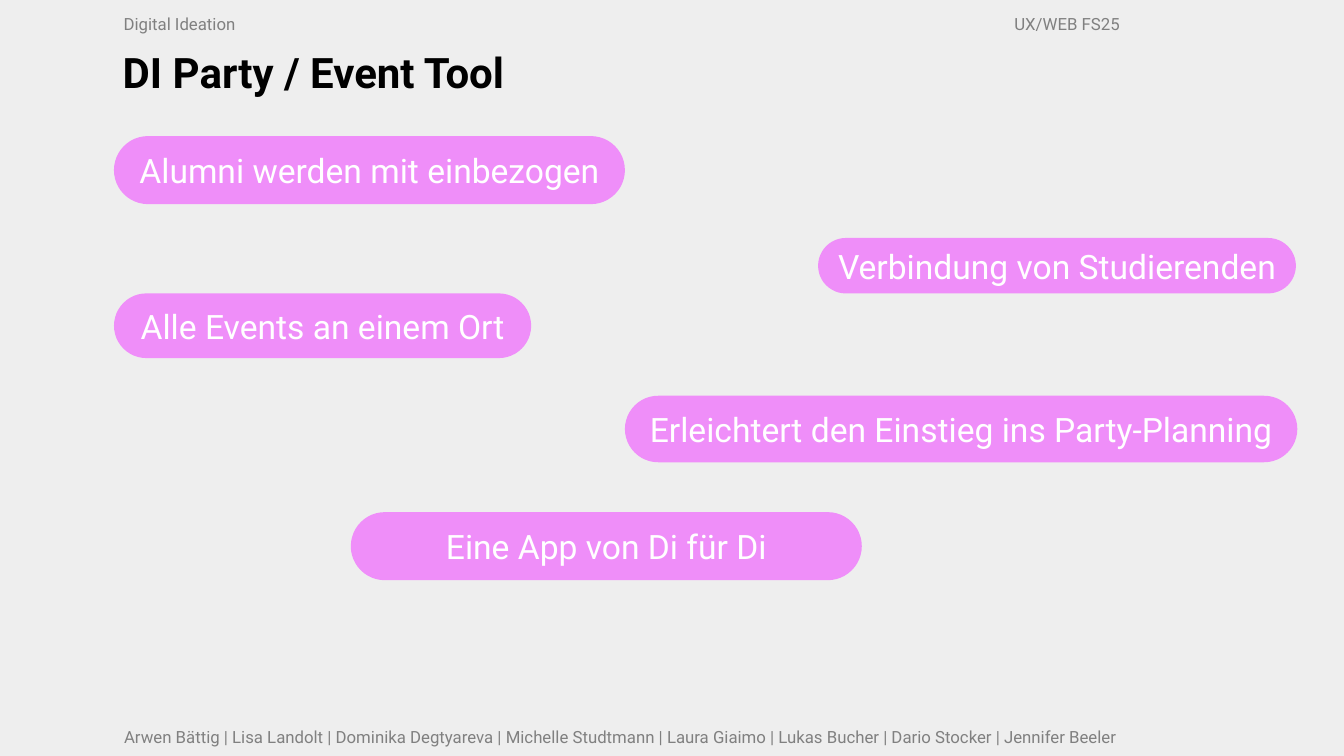
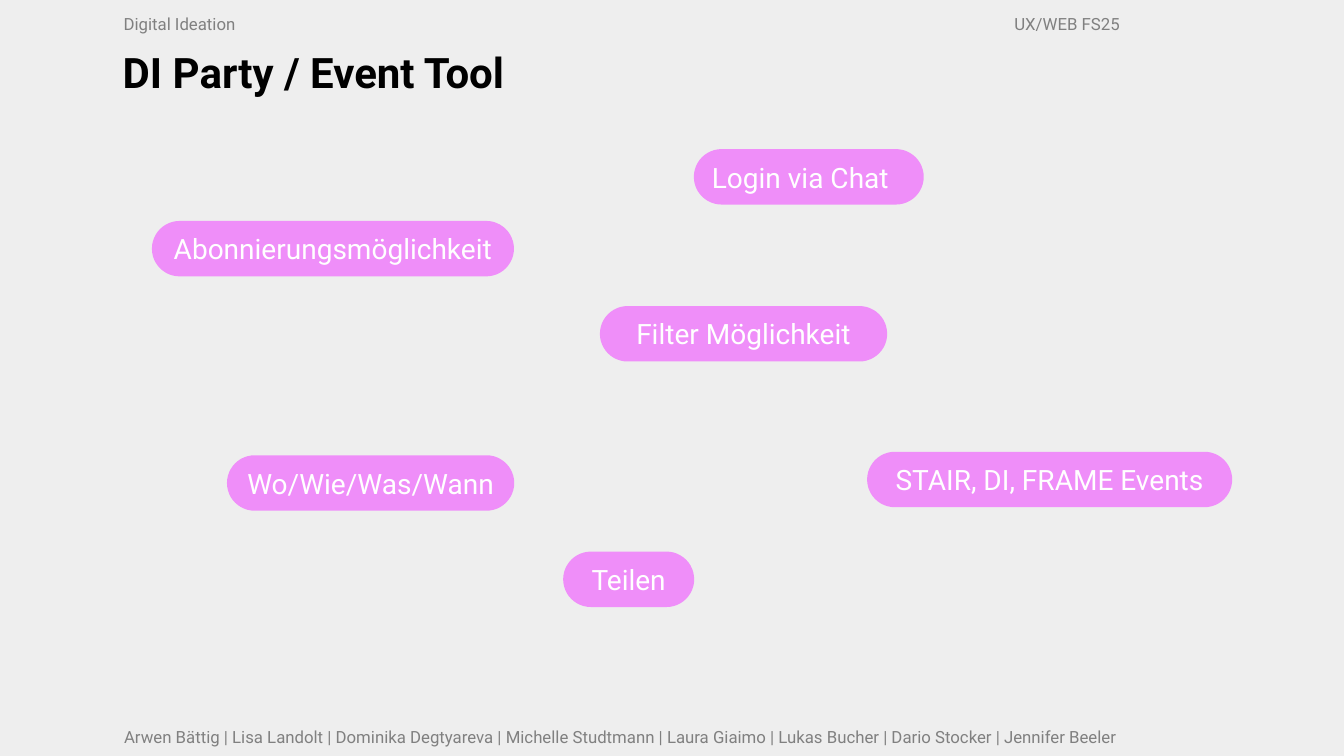
from pptx import Presentation
from pptx.dml.color import RGBColor
from pptx.enum.shapes import MSO_SHAPE
from pptx.enum.text import MSO_ANCHOR, PP_ALIGN
from pptx.util import Pt

ROUNDED = MSO_SHAPE.ROUNDED_RECTANGLE
TOP, MIDDLE = MSO_ANCHOR.TOP, MSO_ANCHOR.MIDDLE
LEFT, CENTER = PP_ALIGN.LEFT, PP_ALIGN.CENTER

BACKGROUND = RGBColor(0xEE, 0xEE, 0xEE)
PINK = RGBColor(0xEF, 0x8E, 0xF9)
GREY = RGBColor(0x80, 0x80, 0x80)
BLACK = RGBColor(0x00, 0x00, 0x00)
WHITE = RGBColor(0xFF, 0xFF, 0xFF)

TITLE = "DI Party / Event Tool"
TEAM = ("Arwen Bättig | Lisa Landolt | Dominika Degtyareva | Michelle Studtmann | "
        "Laura Giaimo | Lukas Bucher | Dario Stocker | Jennifer Beeler")


class Deck:
    """Holds the shared style and the current slide."""

    font = "Roboto"

    def __init__(self):
        self.prs = Presentation()
        self.prs.slide_width, self.prs.slide_height = Pt(960), Pt(540)
        self.s = None

    def set_text(self, sp, text, size, color, align=CENTER, anchor=TOP, bold=False):
        tf = sp.text_frame
        tf.word_wrap = True
        tf.vertical_anchor = anchor
        tf.text = text
        p = tf.paragraphs[0]
        p.alignment = align
        r = p.runs[0]
        r.font.name, r.font.size, r.font.bold = self.font, Pt(size), bold
        r.font.color.rgb = color
        return p

    def label(self, text, x, y, w):
        sp = self.s.shapes.add_textbox(Pt(x), Pt(y), Pt(w), Pt(21.6))
        self.set_text(sp, text, 12, GREY)

    def title(self, text):
        sp = self.s.shapes.add_textbox(Pt(80.6), Pt(33.8), Pt(643), Pt(100))
        p = self.set_text(sp, text, 30, BLACK, LEFT, bold=True)
        p.line_spacing = 0.9

    def pill(self, text, x, y, w, h=39.6, size=20, align=CENTER):
        sp = self.s.shapes.add_shape(ROUNDED, Pt(x), Pt(y), Pt(w), Pt(h))
        sp.adjustments[0] = 0.5
        sp.shadow.inherit = False
        sp.fill.solid()
        sp.fill.fore_color.rgb = PINK
        sp.line.fill.background()
        self.set_text(sp, text, size, WHITE, align, MIDDLE)

    def slide(self):
        self.s = self.prs.slides.add_slide(self.prs.slide_layouts[6])
        fill = self.s.background.fill
        fill.solid()
        fill.fore_color.rgb = BACKGROUND
        # Footer and header
        self.label(TEAM, 80, 515.5, 727)
        self.label("Digital Ideation", 75.8, 6.5, 105)
        self.label("UX/WEB FS25 ", 717, 6.5, 93.6)
        self.title(TITLE)


def main():
    deck = Deck()

    # Slide 1: benefits
    deck.slide()
    for text, x, y, w, h in (
        ("Alumni werden mit einbezogen", 81.4, 97.2, 365, 48.6),
        ("Verbindung von Studierenden", 584.4, 170, 341.3, 39.6),
        ("Alle Events an einem Ort", 81.4, 209.6, 298, 46.2),
        ("Erleichtert den Einstieg ins Party-Planning", 446.4, 282.7, 480.3, 47.5),
        ("Eine App von Di für Di", 250.6, 365.8, 365, 48.6),
    ):
        deck.pill(text, x, y, w, h, size=24)

    # Slide 2: features
    deck.slide()
    deck.pill("Login via Chat", 495.6, 106.5, 164.2, align=LEFT)
    for text, x, y, w in (
        ("Abonnierungsmöglichkeit", 108.5, 157.8, 258.6),
        ("Filter Möglichkeit", 428.5, 218.6, 205.2),
        ("Wo/Wie/Was/Wann", 162.1, 325.2, 205.2),
        ("STAIR, DI, FRAME Events", 619.4, 322.7, 260.8),
        ("Teilen", 402.3, 394, 93.6),
    ):
        deck.pill(text, x, y, w)

    deck.prs.save("out.pptx")


if __name__ == "__main__":
    main()
